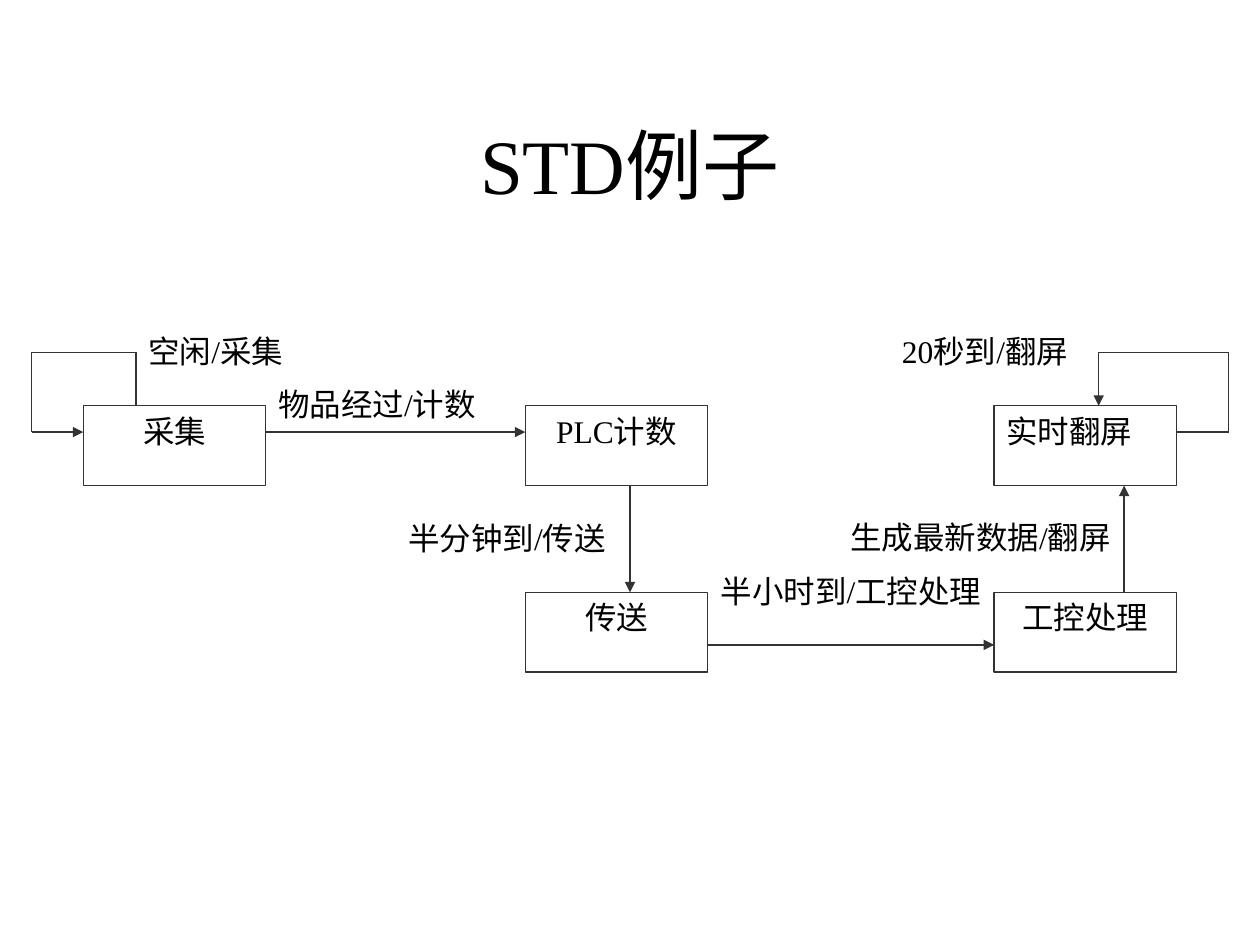
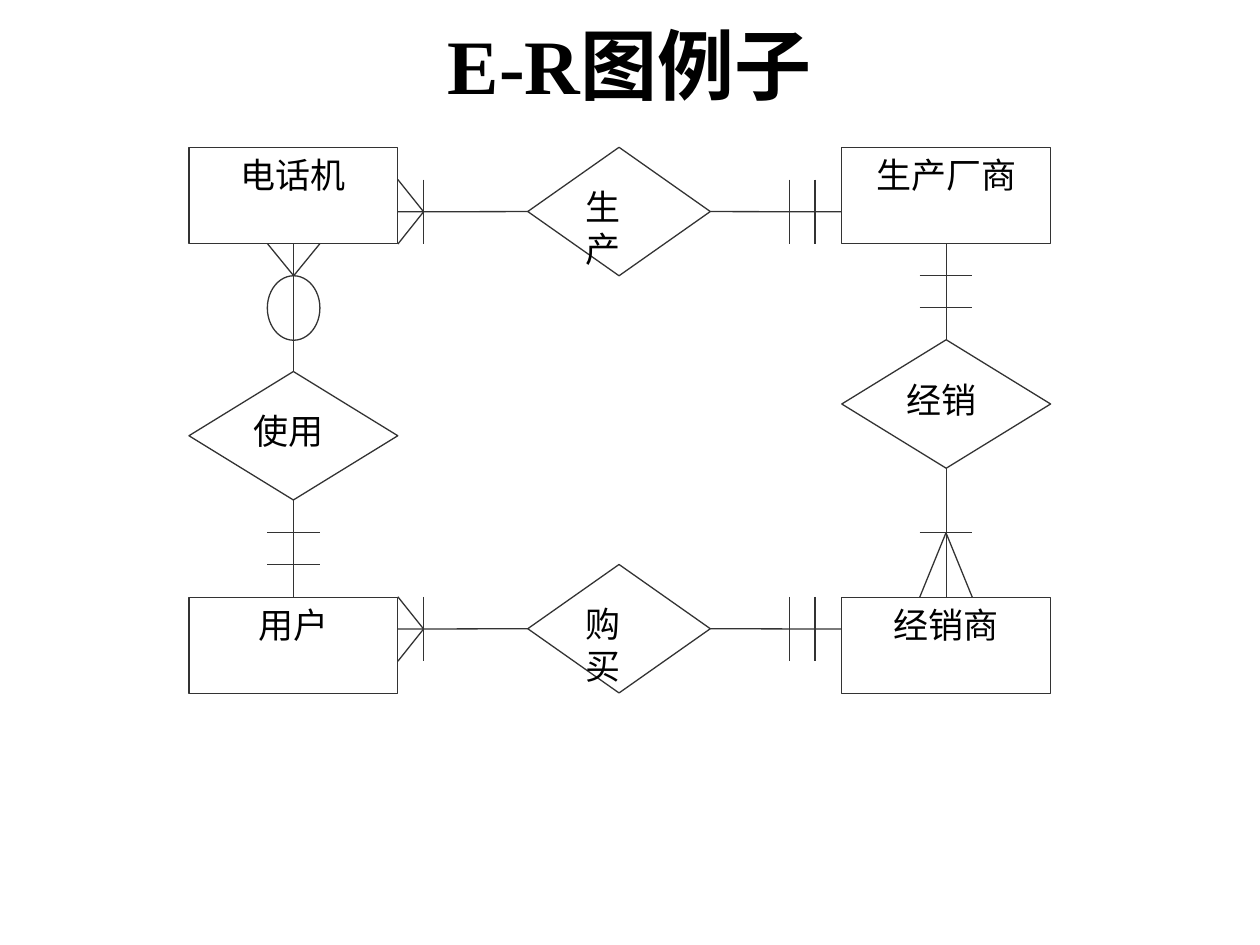
"""Build two diagram slides: a state transition example and an E-R example."""
from pptx import Presentation
from pptx.dml.color import RGBColor
from pptx.enum.shapes import MSO_CONNECTOR as Connector, MSO_SHAPE as Shape
from pptx.enum.text import MSO_ANCHOR as Anchor, MSO_AUTO_SIZE as AutoSize, PP_ALIGN as Align
from pptx.oxml.ns import qn
from pptx.oxml.xmlchemy import OxmlElement
from pptx.util import Cm, Pt

COLORS = {"text": "000000", "line": "333333", "fill": "FFFFFF"}
FONT = "Times New Roman"
LINE_WIDTH = Pt(0.75)


def add_text(slide, text, box, kind=Shape.RECTANGLE, size=18, align=Align.CENTER,
             anchor=Anchor.TOP, bold=False, outline=True):
    """Add a shape with text, or fill the title placeholder when kind is None."""
    left, top, width, height = (Cm(length) for length in box)
    if kind is None:
        shape = slide.shapes.title
        shape.left, shape.top, shape.width, shape.height = left, top, width, height
    else:
        shape = slide.shapes.add_shape(kind, left, top, width, height)
        shape.shadow.inherit = False
        shape.fill.solid()
        shape.fill.fore_color.rgb = RGBColor.from_string(COLORS["fill"])
        if outline:
            shape.line.color.rgb = RGBColor.from_string(COLORS["line"])
            shape.line.width = LINE_WIDTH
        else:
            shape.line.fill.background()
    frame = shape.text_frame
    frame.word_wrap = True
    frame.auto_size = AutoSize.NONE
    frame.vertical_anchor = anchor
    paragraph = frame.paragraphs[0]
    paragraph.text = text
    paragraph.alignment = align
    for run in paragraph.runs:
        run.font.name = FONT
        run.font.size = Pt(size)
        run.font.bold = bold
        run.font.color.rgb = RGBColor.from_string(COLORS["text"])
    return shape


def add_line(slide, start, end, arrow=False):
    """Add a straight line between two points, with an arrowhead at the end on request."""
    connector = slide.shapes.add_connector(
        Connector.STRAIGHT, *(Cm(length) for length in (*start, *end)))
    connector.line.color.rgb = RGBColor.from_string(COLORS["line"])
    connector.line.width = LINE_WIDTH
    properties = connector._element.spPr
    if arrow:
        head = OxmlElement("a:tailEnd")
        head.set("type", "triangle")
        properties.find(qn("a:ln")).append(head)
    properties.append(OxmlElement("a:effectLst"))
    return connector


presentation = Presentation()
presentation.slide_width, presentation.slide_height = Cm(25.4), Cm(19.05)
title_only = presentation.slide_layouts[5]

slide = presentation.slides.add_slide(title_only)
add_text(slide, "STD例子", (1.9, 1.7, 21.6, 3.18), kind=None, size=44, anchor=Anchor.MIDDLE)

transitions = [
    ("20秒到/翻屏", 17.93, 6.56, 4.72),
    ("生成最新数据/翻屏", 16.89, 10.32, 6.3),
    ("半小时到/工控处理", 14.28, 11.41, 6.3),
    ("半分钟到/传送", 7.98, 10.34, 5.23),
    ("空闲/采集", 2.74, 6.56, 4.19),
    ("物品经过/计数", 5.36, 7.64, 5.23),
]
for text, left, top, width in transitions:
    add_text(slide, text, (left, top, width, 1.6), align=Align.JUSTIFY, outline=False)

states = [
    ("采集", 1.68, 8.18, Align.CENTER),
    ("PLC计数", 10.59, 8.18, Align.CENTER),
    ("传送", 10.59, 11.94, Align.CENTER),
    ("工控处理", 20.04, 11.94, Align.CENTER),
    ("实时翻屏", 20.04, 8.18, Align.JUSTIFY),
]
for text, left, top, align in states:
    add_text(slide, text, (left, top, 3.68, 1.61), align=align)

routes = [
    [(2.74, 8.18), (2.74, 7.1), (0.64, 7.1), (0.64, 8.71), (1.68, 8.71)],
    [(5.36, 8.71), (10.59, 8.71)],
    [(12.7, 9.79), (12.7, 11.94)],
    [(14.27, 13), (20.04, 13)],
    [(22.66, 11.94), (22.66, 9.79)],
    [(23.72, 8.71), (24.77, 8.71), (24.77, 7.1), (22.15, 7.1), (22.15, 8.18)],
]
for route in routes:
    for start, end in zip(route, route[1:]):
        add_line(slide, start, end, arrow=end == route[-1])

slide = presentation.slides.add_slide(title_only)
add_text(slide, "E-R图例子", (1.9, 0.43, 21.6, 1.7), kind=None, size=44,
         anchor=Anchor.MIDDLE, bold=True)

entity_left, entity_right, entity_width, entity_height = 3.81, 16.97, 4.21, 1.94
entity_top, entity_bottom = 2.97, 12.04
nodes = {}
for text, left, top in [("电话机", entity_left, entity_top),
                        ("生产厂商", entity_right, entity_top),
                        ("经销商", entity_right, entity_bottom),
                        ("用户", entity_left, entity_bottom)]:
    nodes[text] = add_text(slide, text, (left, top, entity_width, entity_height), size=20)
for text, left, top, width in [("生产", 10.64, entity_top, 3.68),
                               ("购买", 10.64, 11.38, 3.68),
                               ("使用", entity_left, 7.49, entity_width),
                               ("经销", entity_right, 6.85, entity_width)]:
    nodes[text] = add_text(slide, text, (left, top, width, 2.59),
                           kind=Shape.FLOWCHART_DECISION, size=20, align=Align.JUSTIFY)
add_text(slide, "", (5.39, 5.56, 1.06, 1.3), kind=Shape.OVAL)

foot_edge, foot_tip, half_bar = entity_left + entity_width, 8.54, 0.65
for relation, y in [("生产", 4.27), ("购买", 12.68)]:
    add_line(slide, (foot_edge, y), (10.64, y)).end_connect(nodes[relation], 1)
    add_line(slide, (14.32, y), (entity_right, y)).begin_connect(nodes[relation], 3)
    for edge_y in (y - half_bar, y + half_bar):
        add_line(slide, (foot_edge, edge_y), (foot_tip, y))
    for x in (foot_tip, 15.91, 16.43):
        add_line(slide, (x, y - half_bar), (x, y + half_bar))

half_tick = 0.53
columns = [
    ("电话机", "使用", "用户", 5.92, (10.74, 11.38), 5.56, 4.91),
    ("生产厂商", "经销", "经销商", 19.07, (5.56, 6.2, 10.74), 10.74, 12.04),
]
for upper, relation, lower, x, ticks, tip_y, edge_y in columns:
    for above, below in [(upper, relation), (relation, lower)]:
        connector = add_line(slide, (x, entity_top), (x, entity_bottom))
        connector.begin_connect(nodes[above], 2)
        connector.end_connect(nodes[below], 0)
    for y in ticks:
        add_line(slide, (x - half_tick, y), (x + half_tick, y))
    for edge_x in (x - half_tick, x + half_tick):
        add_line(slide, (x, tip_y), (edge_x, edge_y))

presentation.save("out.pptx")
